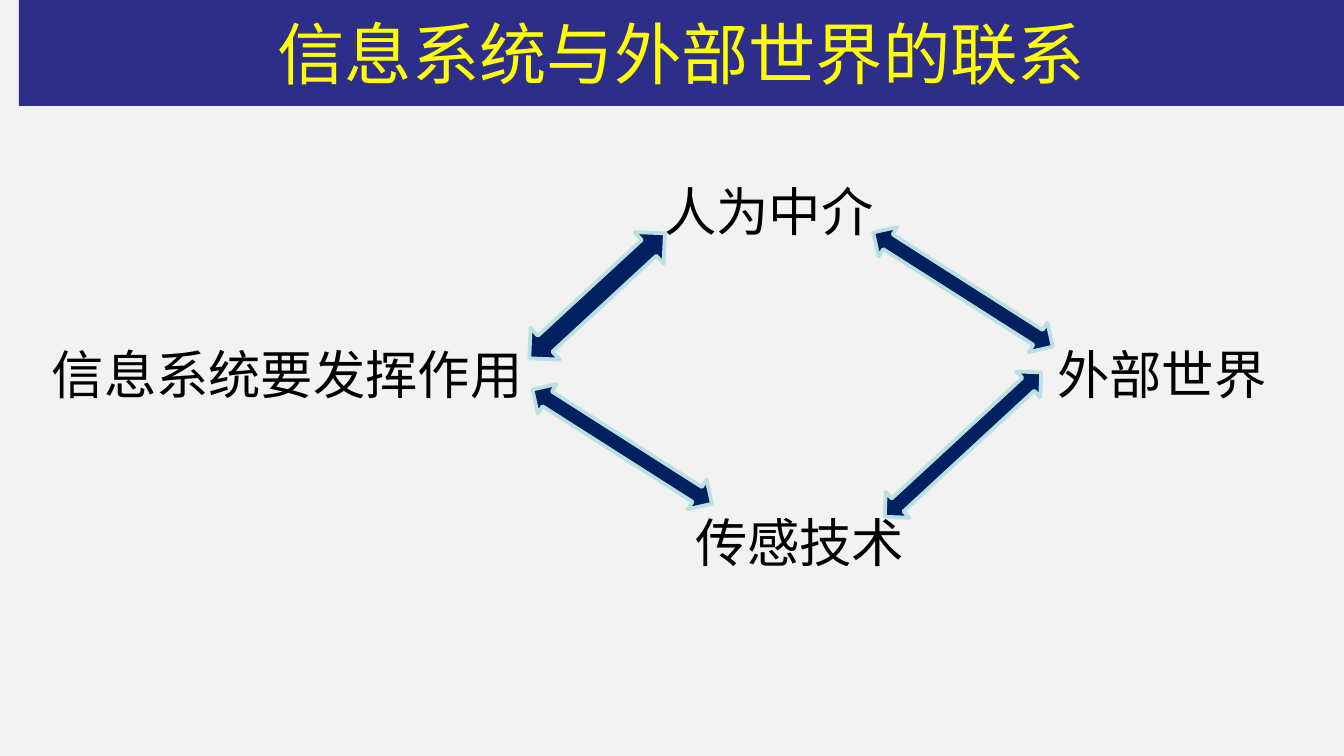
from lxml import etree
from pptx import Presentation
from pptx.dml.color import RGBColor
from pptx.enum.shapes import MSO_SHAPE
from pptx.enum.text import MSO_ANCHOR, PP_ALIGN
from pptx.oxml.ns import qn
from pptx.util import Pt

RECT = MSO_SHAPE.RECTANGLE
ARROW = MSO_SHAPE.LEFT_RIGHT_ARROW
MIDDLE = MSO_ANCHOR.MIDDLE
CENTER = PP_ALIGN.CENTER

PAPER = RGBColor(0xF2, 0xF2, 0xF2)
INDIGO = RGBColor(0x2D, 0x2D, 0x8A)
YELLOW = RGBColor(0xFF, 0xFF, 0x00)
BLACK = RGBColor(0x00, 0x00, 0x00)
NAVY = RGBColor(0x00, 0x20, 0x60)
PALE = RGBColor(0xBB, 0xE0, 0xE3)
HAN = "Noto Sans CJK SC"

WIDE, HIGH = 718.63, 404.25
TITLE = "信息系统与外部世界的联系"
BAR = (10.1, 0, 708.5, 56.7)
LABELS = [
    ("传感技术", 364.6, 269.5, 133.9, True),
    ("信息系统要发挥作用", 20.6, 179.6, 269.3, False),
    ("外部世界", 558.3, 179.6, 127.4, False),
    ("人为中介", 348.1, 92.5, 127.4, False),
]
RISE, FALL = 317.3, 32.5
ARROWS = [
    (270, 146.7, 98.6, 23, RISE),
    (275.8, 229.5, 113.8, 18.7, FALL),
    (458, 145.5, 113.8, 18.7, FALL),
    (458, 228.4, 113.8, 18.7, RISE),
]
HEAD = {"name": HAN, "size": Pt(36)}
BODY = {"name": "Calibri", "size": Pt(28)}


def write(frame, text, style, color):
    run = frame.paragraphs[0].add_run()
    run.text = text
    for key, val in style.items():
        setattr(run.font, key, val)
    run.font.color.rgb = color
    props = run.font._element
    etree.SubElement(props, qn("a:ea")).set("typeface", HAN)


def draw(slide, kind, box, fill):
    shape = slide.shapes.add_shape(kind, *map(Pt, box))
    shape.shadow.inherit = False
    shape.fill.solid()
    shape.fill.fore_color.rgb = fill
    return shape


def main():
    deck = Presentation()
    deck.slide_width, deck.slide_height = Pt(WIDE), Pt(HIGH)
    slide = deck.slides.add_slide(deck.slide_layouts[6])
    slide.background.fill.solid()
    slide.background.fill.fore_color.rgb = PAPER

    bar = draw(slide, RECT, BAR, INDIGO)
    bar.line.fill.background()
    bar.text_frame.vertical_anchor = MIDDLE
    bar.text_frame.paragraphs[0].alignment = CENTER
    write(bar.text_frame, TITLE, HEAD, YELLOW)

    for text, left, top, width, wrap in LABELS:
        box = slide.shapes.add_textbox(*map(Pt, (left, top, width, 41)))
        box.text_frame.word_wrap = wrap
        write(box.text_frame, text, BODY, BLACK)

    for *box, turn in ARROWS:
        arrow = draw(slide, ARROW, box, NAVY)
        arrow.rotation = turn
        arrow.line.color.rgb = PALE
        arrow.line.width = Pt(2)

    deck.save("out.pptx")


if __name__ == "__main__":
    main()
